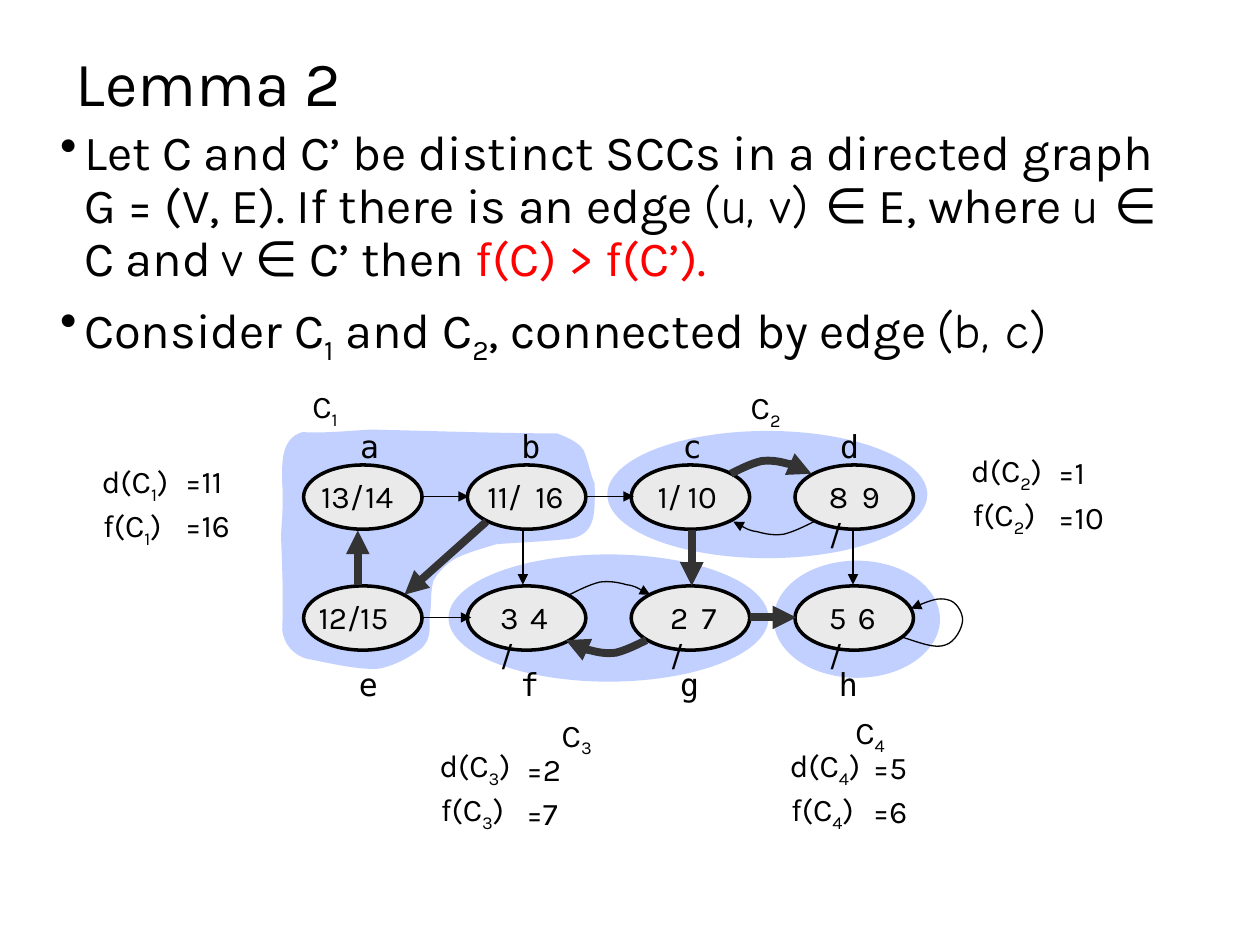
from dataclasses import dataclass

from lxml import etree
from pptx import Presentation
from pptx.dml.color import RGBColor
from pptx.enum.shapes import MSO_CONNECTOR, MSO_SHAPE
from pptx.enum.text import MSO_ANCHOR, PP_ALIGN
from pptx.oxml.ns import qn
from pptx.util import Inches, Pt

OVAL = MSO_SHAPE.OVAL
STRAIGHT = MSO_CONNECTOR.STRAIGHT
LEFT = PP_ALIGN.LEFT
MIDDLE = MSO_ANCHOR.MIDDLE


@dataclass(frozen=True)
class Theme:
    ink = RGBColor(0x00, 0x00, 0x00)
    accent = RGBColor(0xFF, 0x00, 0x00)
    node = RGBColor(0xEA, 0xEA, 0xEA)
    tree_edge = RGBColor(0x33, 0x33, 0x33)
    component = RGBColor(0x33, 0x66, 0xFF)
    component_alpha = 30
    font = "Karla"
    variable_font = "Comic Neue"
    node_font = "DejaVu Sans Mono"
    title_size = Pt(36)
    body_size = Pt(28)
    label_size = Pt(18)
    thin = Pt(0.75)
    thick = Pt(4.5)
    outline = Pt(2)


THEME = Theme()

# Body runs: (text, style), where style is "", "variable", "accent" or "sub"
BULLETS = [
    [("Let C and C’ be distinct SCCs in a directed graph G = (V, E). If there is an edge ", ""),
     ("(u, v) ", "variable"), ("∈ E, where ", ""), ("u ", "variable"), ("∈ C and ", ""),
     ("v", "variable"), (" ∈ C’ then ", ""), ("f(C) > f(C’).", "accent")],
    [("Consider C", ""), ("1", "sub"), (" and C", ""), ("2", "sub"),
     (", connected by edge ", ""), ("(b, c)", "variable")],
]

NODE_LEFT, NODE_STEP, NODE_SIZE = 2.41, 1.3, (0.94, 0.51)
# Per row: node top, letter top, time top, then
# (letter, letter left, discovery, its left, finish, its left)
NODE_ROWS = [
    (3.69, 3.34, 3.74, [("a", 2.76, "13", 2.45, "14", 2.8), ("b", 4.04, "11", 3.77, "16", 4.15),
                        ("c", 5.32, "1", 5.12, "10", 5.36), ("d", 6.57, "8", 6.48, "9", 6.74)]),
    (4.65, 5.23, 4.7, [("e", 2.75, "12", 2.43, "15", 2.76), ("f", 4.03, "3", 3.87, "4", 4.11),
                       ("g", 5.3, "2", 5.22, "7", 5.47), ("h", 6.56, "5", 6.48, "6", 6.71)]),
]
NARROW_NODES = "dfgh"  # the slash falls to a second line here

# (start, end, is tree edge)
STRAIGHT_EDGES = [
    ((3.34, 3.94), (3.72, 3.94), False), ((4.66, 3.94), (5.03, 3.94), False),
    ((3.36, 4.9), (3.74, 4.9), False), ((5.95, 4.9), (6.32, 4.9), True),
    ((2.84, 4.64), (2.84, 4.21), True), ((4.15, 4.2), (4.15, 4.64), False),
    ((5.49, 4.21), (5.49, 4.65), True), ((6.77, 4.21), (6.77, 4.64), False),
    ((3.86, 4.14), (3.21, 4.72), True),
]
# (start, vertical direction of bend, is tree edge)
ARC_EDGES = [((4.52, 4.72), 1, False), ((5.8, 3.76), 1, True),
             ((6.46, 4.14), -1, False), ((5.13, 5.08), -1, True)]
ARC = [(0, 0), (0.08, -0.04), (0.16, -0.08), (0.24, -0.1), (0.31, -0.11), (0.38, -0.1),
       (0.45, -0.08), (0.52, -0.07), (0.58, -0.03), (0.64, 0)]
SELF_LOOP = [(7.17, 5.06), (7.3, 5.1), (7.42, 5.15), (7.5, 5.12), (7.58, 5.1), (7.64, 4.98),
             (7.64, 4.92), (7.64, 4.86), (7.59, 4.77), (7.52, 4.76), (7.45, 4.74),
             (7.34, 4.78), (7.23, 4.83)]

# Components: ovals, and the bent outline around a, b and e
COMPONENT_OVALS = [(6.14, 4.45, 1.32, 0.93), (4.82, 3.42, 2.54, 1.01), (3.56, 4.4, 2.54, 1.01)]
BENT_COMPONENT = [
    (2.4, 3.43), (2.58, 3.44), (2.76, 3.42), (2.94, 3.41), (3.43, 3.42), (3.93, 3.44),
    (4.42, 3.44), (4.5, 3.47), (4.59, 3.51), (4.63, 3.57), (4.67, 3.66), (4.68, 3.75),
    (4.72, 3.84), (4.72, 4.07), (4.74, 4.26), (4.49, 4.28), (4.3, 4.3), (4.05, 4.31),
    (3.94, 4.32), (3.8, 4.36), (3.63, 4.41), (3.56, 4.47), (3.5, 4.52), (3.46, 4.57),
    (3.44, 4.61), (3.41, 4.72), (3.43, 4.79), (3.41, 4.89), (3.41, 5), (3.42, 5.08),
    (3.34, 5.15), (3.25, 5.22), (3.1, 5.3), (2.98, 5.31), (2.8, 5.31), (2.6, 5.26),
    (2.44, 5.23), (2.32, 5.2), (2.25, 5.1), (2.24, 5), (2.25, 4.75), (2.24, 4.5),
    (2.23, 4.25), (2.24, 4.1), (2.25, 3.98), (2.24, 3.83), (2.24, 3.7), (2.22, 3.48), (2.4, 3.43)]
# (number, name position, d/f position, value position, d, f)
COMPONENT_TIMES = [
    ("1", (2.38, 3.02), (0.71, 3.62), (1.37, 3.62), 11, 16),
    ("2", (5.86, 3.03), (7.61, 3.53), (8.3, 3.55), 1, 10),
    ("3", (4.36, 5.63), (3.39, 5.87), (4.08, 5.9), 2, 7),
    ("4", (6.69, 5.61), (6.17, 5.87), (6.83, 5.89), 5, 6),
]
TIME_STEP = 0.35


def add_runs(paragraph, runs, size):
    paragraph.font.size = size
    paragraph.font.name = THEME.font
    paragraph.font.color.rgb = THEME.ink
    for text, style in runs:
        run = paragraph.add_run()
        run.text = text
        if style == "variable":
            run.font.name = THEME.variable_font
        elif style == "accent":
            run.font.color.rgb = THEME.accent
        elif style == "sub":
            run.font._element.set("baseline", "-25000")


def add_label(slide, left, top, runs, width=0.48, wrap=False, font=THEME.font):
    box = slide.shapes.add_textbox(Inches(left), Inches(top), Inches(width), Inches(0.4))
    box.text_frame.word_wrap = wrap
    paragraph = box.text_frame.paragraphs[0]
    add_runs(paragraph, runs, THEME.label_size)
    paragraph.font.name = font


def add_oval(slide, left, top, width, height):
    oval = slide.shapes.add_shape(OVAL, *map(Inches, (left, top, width, height)))
    oval.shadow.inherit = False
    oval.fill.solid()
    return oval


def add_curve(slide, points, closed=False):
    """Draw cubic curves: a start point, then three points for each segment."""
    emu = [(Inches(x), Inches(y)) for x, y in points]
    builder = slide.shapes.build_freeform(*emu[0])
    builder.add_line_segments(emu[1:], close=closed)
    shape = builder.convert_to_shape()
    shape.shadow.inherit = False
    lines = list(shape._element.iter(qn("a:lnTo")))
    for first in range(0, len(lines), 3):
        curve = etree.Element(qn("a:cubicBezTo"))
        lines[first].addprevious(curve)
        for line in lines[first:first + 3]:
            curve.append(line[0])
            line.getparent().remove(line)
    return shape


def tint_component(shape):
    shape.fill.solid()
    shape.fill.fore_color.rgb = THEME.component
    color = next(shape._element.spPr.iter(qn("a:srgbClr")))
    etree.SubElement(color, qn("a:alpha"), val=str(THEME.component_alpha * 1000))
    shape.line.fill.background()


def style_edge(edge, is_tree):
    edge.line.color.rgb = THEME.tree_edge if is_tree else THEME.ink
    edge.line.width = THEME.thick if is_tree else THEME.thin
    etree.SubElement(edge.line._get_or_add_ln(), qn("a:tailEnd"), type="triangle")


def add_straight_edge(slide, start, end, is_tree):
    edge = slide.shapes.add_connector(STRAIGHT, *map(Inches, (*start, *end)))
    style_edge(edge, is_tree)
    etree.SubElement(edge._element.spPr, qn("a:effectLst"))


def add_curved_edge(slide, points, is_tree):
    edge = add_curve(slide, points)
    edge.fill.background()
    style_edge(edge, is_tree)


def add_title(slide, text):
    title = slide.shapes.title
    title.left, title.top, title.width, title.height = map(Inches, (0.5, 0.3, 9, 0.77))
    title.text_frame.vertical_anchor = MIDDLE
    paragraph = title.text_frame.paragraphs[0]
    paragraph.alignment = LEFT
    paragraph.line_spacing = 0.9
    add_runs(paragraph, [(text, "")], THEME.title_size)


def add_bullets(slide):
    box = slide.shapes.add_textbox(*map(Inches, (0.38, 0.97, 9, 2.49)))
    frame = box.text_frame
    frame.word_wrap = True
    for index, runs in enumerate(BULLETS):
        paragraph = frame.add_paragraph() if index else frame.paragraphs[0]
        paragraph.line_spacing = 0.9
        paragraph.space_before = Pt(7.5)
        add_runs(paragraph, runs, THEME.body_size)
        properties = paragraph._p.get_or_add_pPr()
        properties.set("marL", str(Inches(0.19)))
        properties.set("indent", str(-Inches(0.19)))
        bullet = etree.Element(qn("a:buChar"), char="•")
        properties.find(qn("a:defRPr")).addprevious(bullet)


def add_nodes(slide):
    for top, letter_top, time_top, nodes in NODE_ROWS:
        for column, (letter, letter_left, found, found_left, done, done_left) in enumerate(nodes):
            oval = add_oval(slide, NODE_LEFT + column * NODE_STEP, top, *NODE_SIZE)
            oval.fill.fore_color.rgb = THEME.node
            oval.line.color.rgb = THEME.ink
            oval.line.width = THEME.outline
            add_label(slide, letter_left, letter_top, [(letter, "")], 0.3, font=THEME.node_font)
            add_label(slide, found_left, time_top, [(found + "/", "")],
                      0.41 if len(found) == 1 else 0.55, wrap=letter in NARROW_NODES)
            add_label(slide, done_left, time_top, [(done, "")], 0.34 if len(done) == 1 else 0.48)


def add_component_times(slide):
    for number, name_at, (left, top), (value_left, value_top), found, done in COMPONENT_TIMES:
        add_label(slide, *name_at, [("C", ""), (number, "sub")])
        for row, (function, value) in enumerate((("d", found), ("f", done))):
            drop = row * TIME_STEP
            runs = [(function + "(C", ""), (number, "sub"), (")", "")]
            add_label(slide, left + row * 0.01, top + drop, runs, 0.78)
            add_label(slide, value_left, value_top + drop, [(f"={value}", "")], 0.62)


def main():
    presentation = Presentation()
    presentation.slide_width, presentation.slide_height = Inches(10), Inches(7.5)
    slide = presentation.slides.add_slide(presentation.slide_layouts[5])
    add_title(slide, "Lemma 2")
    add_bullets(slide)

    # Shaded components behind the graph
    tint_component(add_curve(slide, BENT_COMPONENT, closed=True))
    for bounds in COMPONENT_OVALS:
        tint_component(add_oval(slide, *bounds))

    # Graph
    add_nodes(slide)
    for start, end, is_tree in STRAIGHT_EDGES:
        add_straight_edge(slide, start, end, is_tree)
    for (x, y), turn, is_tree in ARC_EDGES:
        add_curved_edge(slide, [(x + turn * dx, y + turn * dy) for dx, dy in ARC], is_tree)
    add_curved_edge(slide, SELF_LOOP, False)

    add_component_times(slide)
    presentation.save("out.pptx")


if __name__ == "__main__":
    main()
